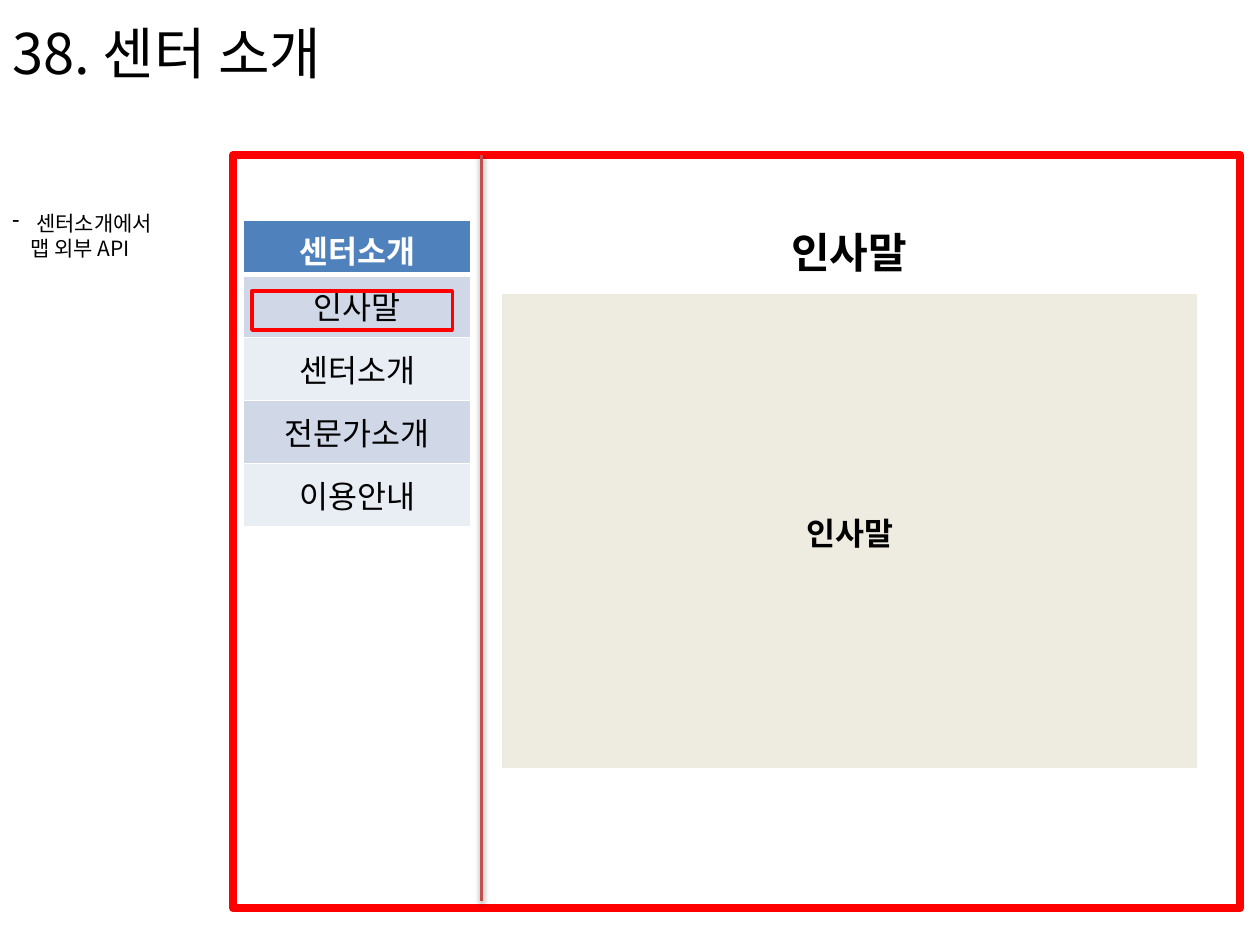
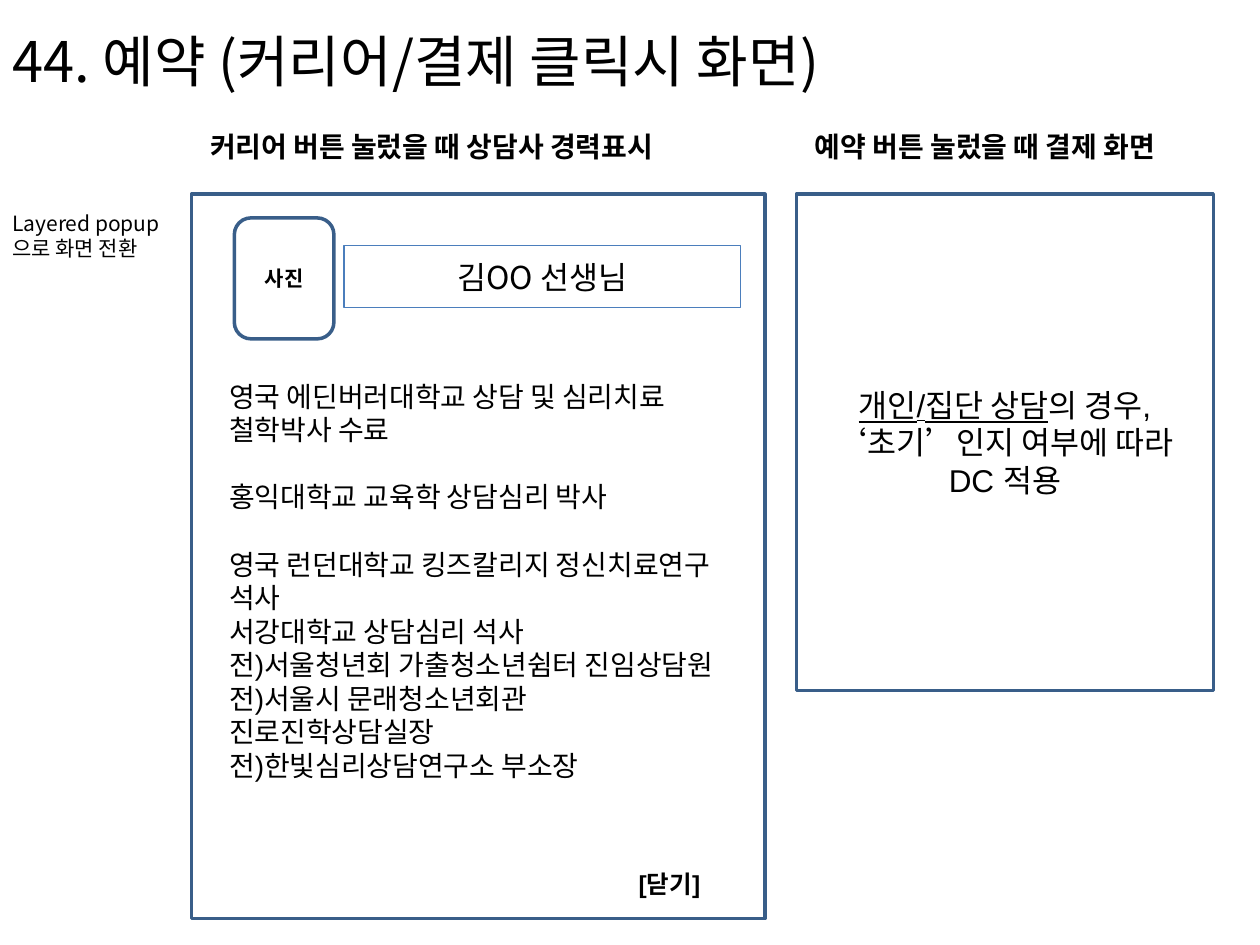
from dataclasses import dataclass
from typing import Optional

from lxml import etree
from pptx import Presentation
from pptx import util as u
from pptx.dml import color as dml
from pptx.enum import shapes, text
from pptx.oxml import ns

COLORS = {
    "black": "000000", "white": "FFFFFF", "red": "FF0000", "divider": "C0504D",
    "popup": "395E89", "name": "4B7EBC", "header": "4F81BD",
    "odd": "D0D8E8", "even": "E9EDF4", "content": "EEECE1",
}
NOTO, ARIAL = "Noto Sans CJK KR", "Arial"
LEFT, CENTER = text.PP_ALIGN.LEFT, text.PP_ALIGN.CENTER
TOP, MIDDLE = text.MSO_ANCHOR.TOP, text.MSO_ANCHOR.MIDDLE
RECTANGLE = shapes.MSO_SHAPE.RECTANGLE
ROUNDED = shapes.MSO_SHAPE.ROUNDED_RECTANGLE


@dataclass
class Run:
    text: str
    underline: bool = False


@dataclass
class Line:
    runs: list[Run]
    space_before: float = 0
    margin: float = 0
    bullet: str = ""


@dataclass
class Style:
    size: float
    font: str = NOTO
    bold: bool = False
    color: str = "black"
    align: text.PP_ALIGN = LEFT
    anchor: text.MSO_ANCHOR = TOP


@dataclass
class Box:
    at: tuple[float, float, float, float]
    lines: list[Line]
    style: Style
    wrap: bool = True
    right_inset: float = 0.1


@dataclass
class Panel:
    at: tuple[float, float, float, float]
    line: str
    width: float
    fill: Optional[str] = None
    preset: shapes.MSO_SHAPE = RECTANGLE
    lines: Optional[list[Line]] = None
    style: Optional[Style] = None


@dataclass
class Row:
    label: str
    height: float
    fill: str
    style: Style
    bottom_border: float = 1


TITLE = Style(32, anchor=MIDDLE)
NOTE = Style(12)
CAPTION = Style(16, ARIAL, bold=True)
MENU = Style(18, align=CENTER, anchor=MIDDLE)


def rgb(name: str) -> dml.RGBColor:
    return dml.RGBColor.from_string(COLORS[name])


def inches(values: tuple) -> list[u.Length]:
    return [u.Inches(value) for value in values]


def plain(*texts: str) -> list[Line]:
    return [Line([Run(item)]) for item in texts]


def add_element(parent, tag: str, **attributes: str):
    return etree.SubElement(parent, ns.qn(tag), attributes)


def write_text(frame, lines: list[Line], style: Style) -> None:
    for index, line in enumerate(lines):
        paragraph = frame.paragraphs[0] if index == 0 else frame.add_paragraph()
        paragraph.alignment = style.align
        if line.space_before:
            paragraph.space_before = u.Pt(line.space_before)
        if line.margin:
            properties = paragraph._p.get_or_add_pPr()
            properties.set("marL", str(u.Inches(line.margin)))
            if line.bullet:
                properties.set("indent", str(-u.Inches(line.margin)))
                add_element(properties, "a:buChar", char=line.bullet)
        for item in line.runs:
            run = paragraph.add_run()
            run.text = item.text
            run.font.size = u.Pt(style.size)
            run.font.bold = style.bold
            run.font.underline = item.underline
            run.font.color.rgb = rgb(style.color)
            run.font.name = style.font
            add_element(run._r.get_or_add_rPr(), "a:ea", typeface=NOTO)


def add_box(slide, box: Box) -> None:
    frame = slide.shapes.add_textbox(*inches(box.at)).text_frame
    frame.word_wrap = box.wrap
    frame.vertical_anchor = box.style.anchor
    frame.margin_right = u.Inches(box.right_inset)
    write_text(frame, box.lines, box.style)


def add_panel(slide, panel: Panel) -> None:
    shape = slide.shapes.add_shape(panel.preset, *inches(panel.at))
    shape.shadow.inherit = False
    if panel.fill:
        shape.fill.solid()
        shape.fill.fore_color.rgb = rgb(panel.fill)
    else:
        shape.fill.background()
    shape.line.color.rgb = rgb(panel.line)
    shape.line.width = u.Pt(panel.width)
    if panel.lines:
        shape.text_frame.word_wrap = True
        shape.text_frame.vertical_anchor = panel.style.anchor
        write_text(shape.text_frame, panel.lines, panel.style)


def set_borders(cell, bottom: float) -> None:
    properties = cell._tc.get_or_add_tcPr()
    for index, side in enumerate(("L", "R", "T", "B")):
        width = bottom if side == "B" else 1
        border = add_element(properties, f"a:ln{side}", w=str(u.Pt(width)))
        fill = add_element(border, "a:solidFill")
        add_element(fill, "a:srgbClr", val=COLORS["white"])
        properties.insert(index, border)


def add_column_table(slide, left: float, top: float, width: float, rows: list[Row]) -> None:
    height = sum(row.height for row in rows)
    frame = slide.shapes.add_table(len(rows), 1, *inches((left, top, width, height)))
    for index, row in enumerate(rows):
        frame.table.rows[index].height = u.Inches(row.height)
        cell = frame.table.cell(index, 0)
        cell.fill.solid()
        cell.fill.fore_color.rgb = rgb(row.fill)
        cell.vertical_anchor = row.style.anchor
        set_borders(cell, row.bottom_border)
        write_text(cell.text_frame, plain(row.label), row.style)


def add_divider(slide, x: float, top: float, bottom: float) -> None:
    connector = slide.shapes.add_connector(
        shapes.MSO_CONNECTOR.STRAIGHT, *inches((x, top, x, bottom)))
    connector.line.color.rgb = rgb("divider")
    connector.line.width = u.Pt(2)
    effects = add_element(connector._element.spPr, "a:effectLst")
    shadow = add_element(effects, "a:outerShdw", blurRad=str(u.Pt(3.1)),
                         dist=str(u.Pt(1.6)), dir="5400000", rotWithShape="0")
    tint = add_element(shadow, "a:srgbClr", val=COLORS["black"])
    add_element(tint, "a:alpha", val="38000")


def add_page(presentation, title: str, title_height: float, note: list[Line]):
    """Add a slide with the shared title and side note."""
    slide = presentation.slides.add_slide(presentation.slide_layouts[6])
    add_box(slide, Box((0, -0.01, 9.71, title_height), plain(title), TITLE))
    add_box(slide, Box((0, 1.62, 1.89, 0.5), note, NOTE, right_inset=0))
    return slide


def build_center_page(presentation) -> None:
    note = [Line([Run("센터소개에서")], margin=0.19, bullet="-"),
            Line([Run("맵 외부 API")], margin=0.14)]
    slide = add_page(presentation, "38. 센터 소개", 0.85, note)
    add_panel(slide, Panel((1.85, 1.23, 7.99, 5.98), "red", 4.5, "white"))

    # Greeting area
    greeting = Style(18, bold=True, align=CENTER, anchor=MIDDLE)
    add_column_table(slide, 3.98, 2.33, 5.53,
                     [Row("인사말", 3.78, "content", greeting, 3)])
    add_box(slide, Box((6.18, 1.75, 1.19, 0.5), plain("인사말"),
                       Style(24, bold=True), wrap=False))

    # Side menu with its selected entry
    header = Style(18, bold=True, color="white", align=CENTER, anchor=MIDDLE)
    menu = [Row("센터소개", 0.43, "header", header, 3)]
    for index, label in enumerate(("인사말", "센터소개", "전문가소개", "이용안내")):
        menu.append(Row(label, 0.5, "even" if index % 2 else "odd", MENU))
    add_column_table(slide, 1.93, 1.75, 1.81, menu)
    add_divider(slide, 3.82, 1.23, 7.15)
    add_panel(slide, Panel((2, 2.31, 1.59, 0.31), "red", 2))


def build_booking_page(presentation) -> None:
    slide = add_page(presentation, "44. 예약 (커리어/결제 클릭시 화면)", 0.98,
                     plain("Layered popup", "으로 화면 전환"))

    # Popup captions
    for left, width, caption in ((1.57, 4.3, "커리어 버튼 눌렀을 때 상담사 경력표시"),
                                 (6.37, 3.23, "예약 버튼 눌렀을 때 결제 화면")):
        add_box(slide, Box((left, 0.98, width, 0.37), plain(caption), CAPTION))

    # Career popup
    career = plain(
        "영국 에딘버러대학교 상담 및 심리치료 철학박사 수료",
        "홍익대학교 교육학 상담심리 박사",
        "영국 런던대학교 킹즈칼리지 정신치료연구 석사",
        "서강대학교 상담심리 석사",
        "전)서울청년회 가출청소년쉼터 진임상담원",
        "전)서울시 문래청소년회관 진로진학상담실장",
        "전)한빛심리상담연구소 부소장",
    )
    for line in career[1:3]:
        line.space_before = 19.2
    add_panel(slide, Panel((1.52, 1.54, 4.55, 5.75), "popup", 2))
    add_box(slide, Box((1.72, 2.96, 4.16, 3.62), career, Style(16, ARIAL)))
    add_box(slide, Box((4.97, 6.85, 0.91, 0.34), plain("[닫기]"),
                       Style(14, ARIAL, bold=True)))
    add_panel(slide, Panel((2.73, 1.95, 3.15, 0.49), "name", 0.75,
                           lines=plain("김OO 선생님"), style=MENU))
    add_panel(slide, Panel((1.86, 1.73, 0.79, 0.96), "popup", 2, preset=ROUNDED,
                           lines=plain("사진"),
                           style=Style(12, ARIAL, True, align=CENTER, anchor=MIDDLE)))

    # Payment popup
    payment = [Line([Run("개인/집단 상담", underline=True), Run("의 경우,")]),
               *plain("‘초기’인지 여부에 따라", "DC 적용")]
    add_panel(slide, Panel((6.32, 1.54, 3.31, 3.94), "popup", 2, lines=payment,
                           style=Style(18, ARIAL, align=CENTER, anchor=MIDDLE)))


def main() -> None:
    presentation = Presentation()
    presentation.slide_width, presentation.slide_height = inches((10, 7.5))
    build_center_page(presentation)
    build_booking_page(presentation)
    presentation.save("out.pptx")


if __name__ == "__main__":
    main()
